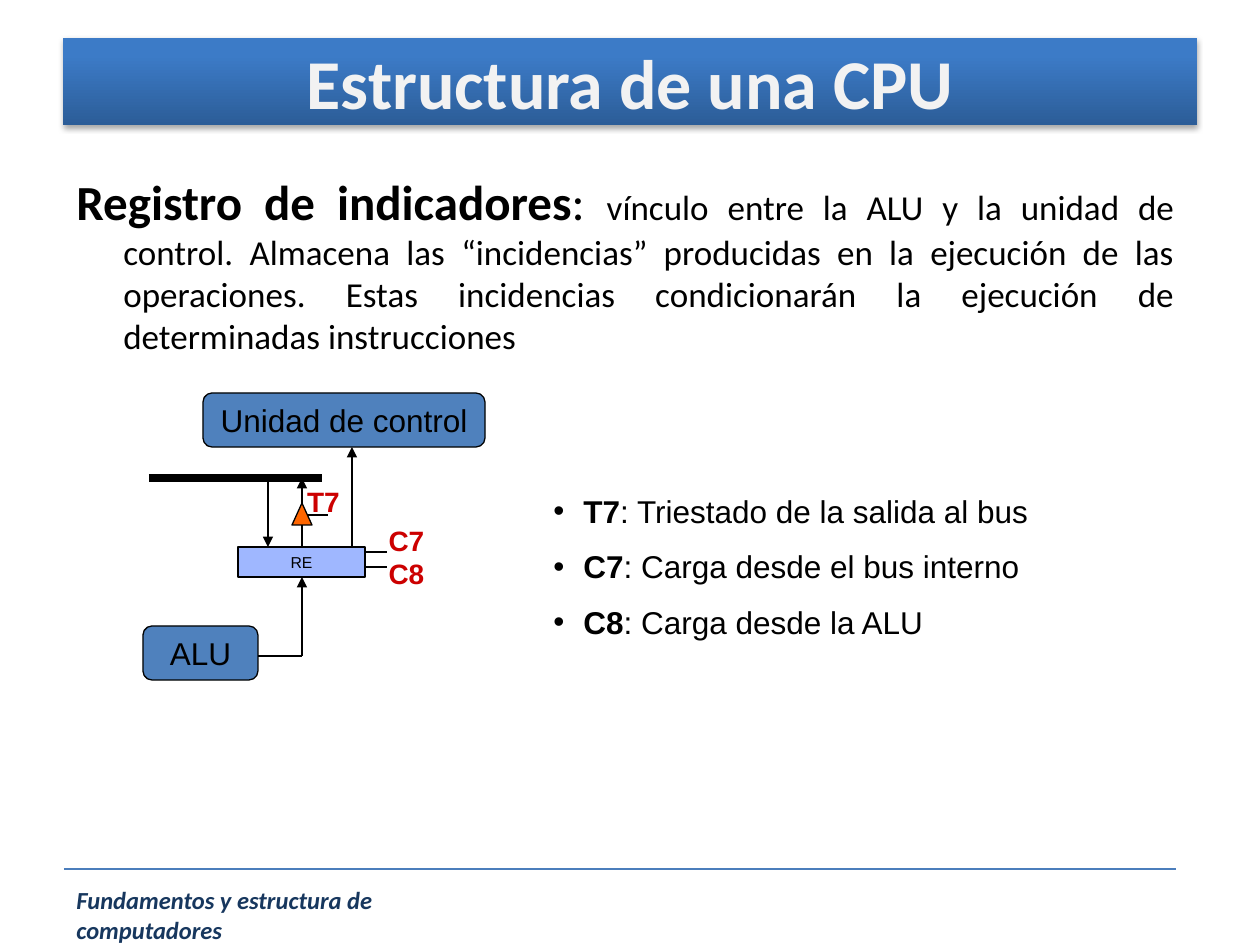
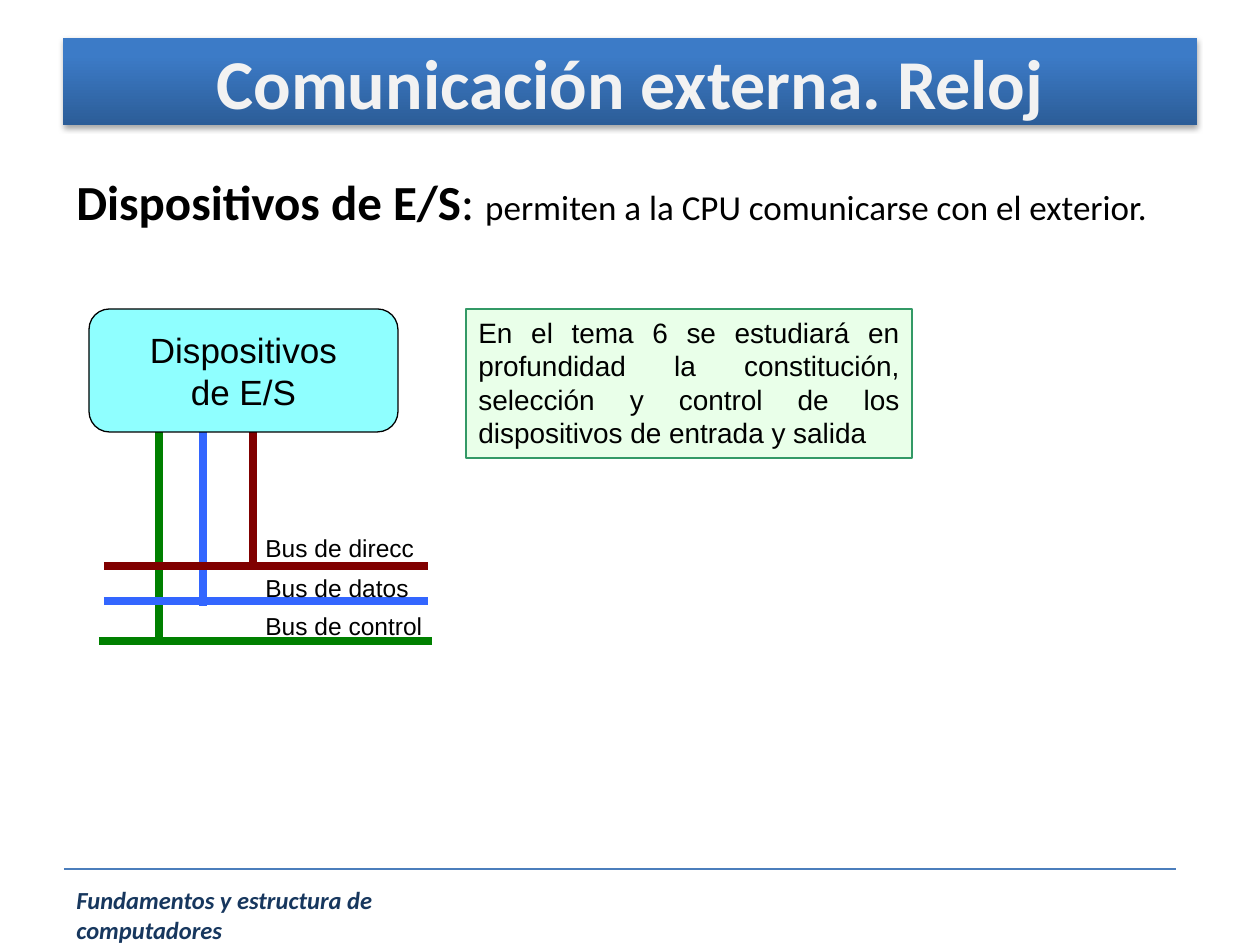
"""Build two slides on CPU structure: the flags register and external communication."""
from lxml.etree import SubElement
from pptx import Presentation
from pptx.dml.color import RGBColor
from pptx.enum.shapes import MSO_CONNECTOR, MSO_SHAPE
from pptx.enum.text import MSO_ANCHOR, PP_ALIGN
from pptx.oxml.ns import qn
from pptx.util import Emu, Pt

SCALE = 914400 / 126
BLACK, RED = "000000", "CC0000"
MAROON, BLUE, GREEN = "800000", "3366FF", "008000"
BANNER_STOPS = [(0, "2C5D98"), (0.8, "3C7BC7")]
FOOTER = "Fundamentos y estructura de computadores"
BREAK = "\v"

CENTRE = {"alignment": PP_ALIGN.CENTER}
JUSTIFY = {"alignment": PP_ALIGN.JUSTIFY}
LEFT = {"alignment": PP_ALIGN.LEFT}
MIDDLE = {"vertical_anchor": MSO_ANCHOR.MIDDLE, "word_wrap": False}
WRAPPED = {"vertical_anchor": MSO_ANCHOR.TOP, "word_wrap": True}
TIGHT = {"margin_left": 0, "margin_right": 0, "word_wrap": False}

FONTS = {
    "title": ("F2F2F2", {"name": "Calibri", "size": Pt(40), "bold": True}),
    "term": (BLACK, {"name": "Calibri", "size": Pt(28), "bold": True}),
    "colon": (BLACK, {"name": "Calibri", "size": Pt(28), "bold": False}),
    "body": (BLACK, {"name": "Calibri", "size": Pt(20), "bold": False}),
    "footer": ("17375E", {"name": "Calibri", "size": Pt(14), "bold": True, "italic": True}),
    "signal": (RED, {"name": "Arial", "size": Pt(16), "bold": True}),
    "key": (BLACK, {"name": "Arial", "size": Pt(18), "bold": True}),
    "unit": (BLACK, {"name": "Arial", "size": Pt(18)}),
    "register": (BLACK, {"name": "Arial", "size": Pt(9)}),
    "device": (BLACK, {"name": "Arial", "size": Pt(20)}),
    "bus": (BLACK, {"name": "Arial", "size": Pt(14)}),
    "note": (BLACK, {"name": "Arial", "size": Pt(16)}),
}

REGISTER_SLIDE = {
    "title": "Estructura de una CPU",
    "term": "Registro de indicadores",
    "definition": "vínculo entre la ALU y la unidad de control. Almacena las “incidencias” "
                  "producidas en la ejecución de las operaciones. Estas incidencias "
                  "condicionarán la ejecución de determinadas instrucciones",
}
SIGNALS = [
    ("T7", "Triestado de la salida al bus"),
    ("C7", "Carga desde el bus interno"),
    ("C8", "Carga desde la ALU"),
]
SIGNALS_BOX = (541, 486, 640, 164)
REGISTER_BOX = (238, 547, 127, 30)
TRISTATE_BOX = (292, 503, 20, 22)
UNITS = [("Unidad de control", (203, 393, 282, 54)), ("ALU", (143, 626, 115, 54))]
SIGNAL_LABELS = [(["T7"], (306, 478, 35, 47)), (["C7", BREAK, "C8"], (382, 517, 49, 81))]
ARROWS = [
    (302, 547, 302, 478),
    (352, 547, 352, 447),
    (302, 656, 302, 577),
    (268, 478, 268, 547),
]
WIRES = [(306, 515, 328, 515), (387, 552, 365, 552), (387, 567, 365, 567), (302, 656, 258, 656)]
INTERNAL_BUS = (149, 478, 322, 478)

DEVICES_SLIDE = {
    "title": "Comunicación externa. Reloj",
    "term": "Dispositivos de E/S",
    "definition": "permiten a la CPU comunicarse con el exterior.",
}
DEVICE_LINES = ["Dispositivos", "de E/S"]
DEVICE_BOX = (89, 309, 309, 123)
BUSES = [
    ("Bus de direcc", MAROON, 253, 567, (104, 566, 428), 527),
    ("Bus de datos", BLUE, 203, 606, (104, 601, 428), 567),
    ("Bus de control", GREEN, 159, 641, (99, 641, 432), 605),
]
BUS_LABEL_LEFT, BUS_LABEL_SIZE = 253, (194, 42)
NOTE = ("En el tema 6 se estudiará en profundidad la constitución, selección y control "
        "de los dispositivos de entrada y salida")
NOTE_BOX = (466, 309, 446, 149)


def px(length):
    return Emu(round(length * SCALE))


def colour(value):
    return RGBColor.from_string(value)


def apply(target, values):
    for attribute, value in values.items():
        setattr(target, attribute, value)


def write(shape, paragraphs, frame_format, paragraph_format):
    """Write paragraphs, each a list of (text, font key) runs, into a shape."""
    frame = shape.text_frame
    apply(frame, frame_format)
    for index, runs in enumerate(paragraphs):
        paragraph = frame.add_paragraph() if index else frame.paragraphs[0]
        apply(paragraph, paragraph_format)
        for text, font_key in runs:
            if text == BREAK:
                paragraph.add_line_break()
                continue
            run = paragraph.add_run()
            run.text = text
            font_colour, font_format = FONTS[font_key]
            apply(run.font, font_format)
            run.font.color.rgb = colour(font_colour)
    return frame


def add_text(slide, box, paragraphs, frame_format=WRAPPED, paragraph_format=LEFT):
    return write(slide.shapes.add_textbox(*map(px, box)), paragraphs, frame_format, paragraph_format)


def add_box(slide, kind, box, fill, opacity=100, line=BLACK):
    shape = slide.shapes.add_shape(kind, *map(px, box))
    shape.shadow.inherit = False
    shape.fill.solid()
    shape.fill.fore_color.rgb = colour(fill)
    if opacity < 100:
        solid = shape.fill._xPr.find(qn("a:solidFill"))
        SubElement(solid[0], qn("a:alpha"), val=str(opacity * 1000))
    shape.line.color.rgb = colour(line)
    shape.line.width = Pt(0.75)
    return shape


def add_line(slide, ends, stroke=BLACK, width=1.5, arrow=False):
    connector = slide.shapes.add_connector(MSO_CONNECTOR.STRAIGHT, *map(px, ends))
    connector.line.color.rgb = colour(stroke)
    connector.line.width = Pt(width)
    if arrow:
        SubElement(connector.line._get_or_add_ln(), qn("a:tailEnd"), type="triangle")
    SubElement(connector._element.spPr, qn("a:effectLst"))


def indent(paragraph, distance, bullet=None):
    properties = paragraph._p.get_or_add_pPr()
    properties.set("marL", str(px(distance)))
    properties.set("indent", str(-px(distance)))
    if bullet:
        SubElement(properties, qn("a:buFont"), typeface="Arial")
        SubElement(properties, qn("a:buChar"), char=bullet)


def add_base_slide(deck, content):
    """Add a slide with its definition, title banner and footer."""
    slide = deck.slides.add_slide(deck.slide_layouts[6])
    runs = [(content["term"], "term"), (": ", "colon"), (content["definition"], "body")]
    definition = add_text(slide, (64, 165, 1123, 79), [runs], paragraph_format=JUSTIFY)
    indent(definition.paragraphs[0], 47)

    banner = slide.shapes.add_shape(MSO_SHAPE.RECTANGLE, *map(px, (63, 38, 1134, 87)))
    banner.fill.gradient()
    banner.fill.gradient_angle = 90
    for stop, (position, shade) in zip(banner.fill.gradient_stops, BANNER_STOPS):
        stop.position = position
        stop.color.rgb = colour(shade)
    banner.line.fill.background()
    write(banner, [[(content["title"], "title")]], MIDDLE, CENTRE)

    add_line(slide, (64, 869, 1176, 869), "4B7EBC", 0.75)
    add_text(slide, (64, 879, 471, 43), [[(FOOTER, "footer")]])
    return slide


def build_register_slide(deck):
    slide = add_base_slide(deck, REGISTER_SLIDE)
    entries = [[(key, "key"), (": " + meaning, "unit")] for key, meaning in SIGNALS]
    signals = add_text(slide, SIGNALS_BOX, entries)
    for index, paragraph in enumerate(signals.paragraphs):
        paragraph.space_before = Pt(10 if index else 0)
        indent(paragraph, 30, "•")

    register = add_box(slide, MSO_SHAPE.RECTANGLE, REGISTER_BOX, BLUE, 47)
    write(register, [[("RE", "register")]], MIDDLE, CENTRE)
    for ends in ARROWS:
        add_line(slide, ends, arrow=True)
    for ends in WIRES:
        add_line(slide, ends)
    for parts, box in SIGNAL_LABELS:
        add_text(slide, box, [[(part, "signal") for part in parts]], TIGHT, CENTRE)
    add_box(slide, MSO_SHAPE.ISOSCELES_TRIANGLE, TRISTATE_BOX, "FF6600")
    add_line(slide, INTERNAL_BUS, width=5)
    for name, box in UNITS:
        unit = add_box(slide, MSO_SHAPE.ROUNDED_RECTANGLE, box, "4F81BD")
        write(unit, [[(name, "unit")]], MIDDLE, CENTRE)


def build_devices_slide(deck):
    slide = add_base_slide(deck, DEVICES_SLIDE)
    device_bottom = DEVICE_BOX[1] + DEVICE_BOX[3]
    for _, stroke, x, bottom, _, _ in BUSES:
        add_line(slide, (x, bottom, x, device_bottom), stroke, 5)
    devices = add_box(slide, MSO_SHAPE.ROUNDED_RECTANGLE, DEVICE_BOX, "00FFFF", 44)
    write(devices, [[(line, "device")] for line in DEVICE_LINES], MIDDLE, CENTRE)
    for _, stroke, _, _, (start, y, end), _ in BUSES:
        add_line(slide, (start, y, end, y), stroke, 5)
    for name, _, _, _, _, top in BUSES:
        add_text(slide, (BUS_LABEL_LEFT, top, *BUS_LABEL_SIZE), [[(name, "bus")]])
    note = add_box(slide, MSO_SHAPE.RECTANGLE, NOTE_BOX, "CCFFCC", 43, "339966")
    write(note, [[(NOTE, "note")]], WRAPPED, JUSTIFY)


deck = Presentation()
deck.slide_width, deck.slide_height = px(1260), px(945)
build_register_slide(deck)
build_devices_slide(deck)
deck.save("out.pptx")
